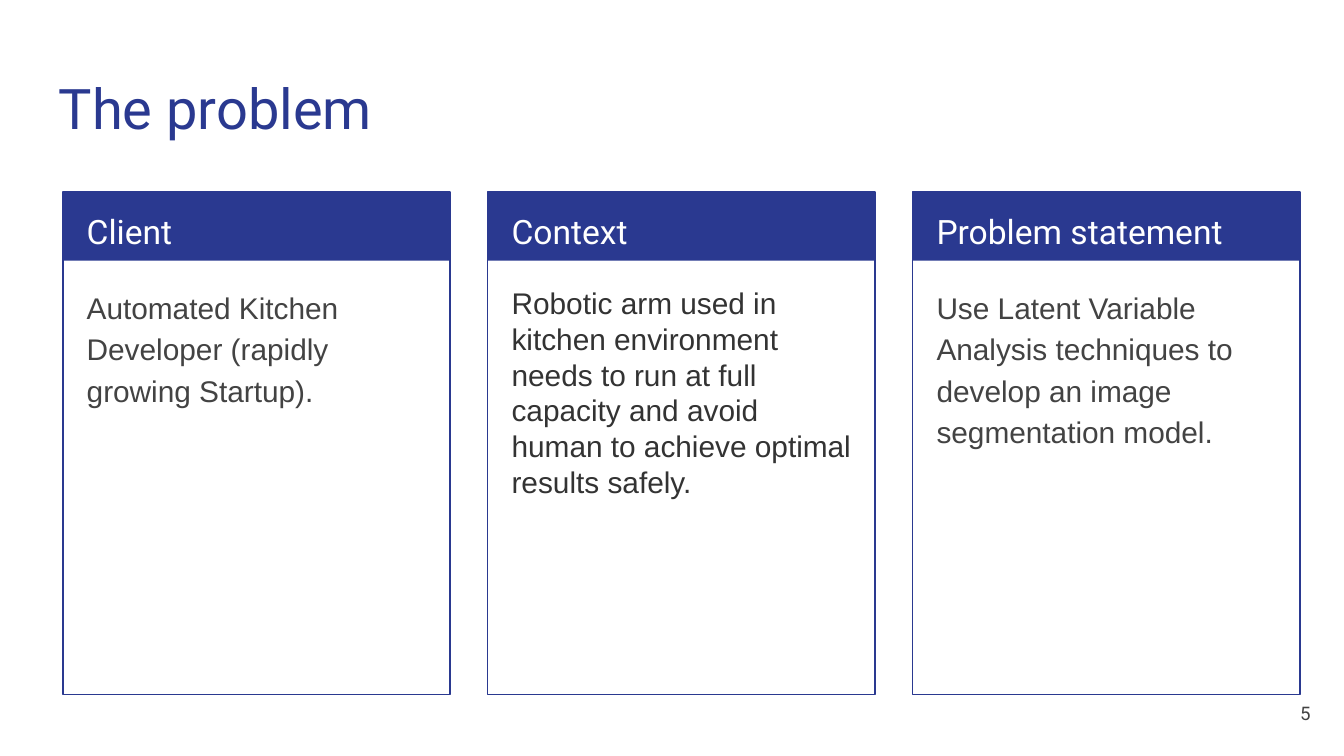
import pptx
import pptx.dml.color
import pptx.enum.shapes
import pptx.enum.text
import pptx.util

Cm = pptx.util.Cm
Pt = pptx.util.Pt
ALIGN = pptx.enum.text.PP_ALIGN
ANCHOR = pptx.enum.text.MSO_ANCHOR

NAVY, WHITE, GREY, DARK = "2A3990", "FFFFFF", "434343", "333333"
LEFT, TOP, PITCH, WIDTH = 1.19, 3.63, 8.03, 7.32
HEADER_HEIGHT, CARD_HEIGHT = 1.3, 9.5
SPACED = {"line_spacing": 1.15}
LOOSE = {"line_spacing": 1.15, "space_after": Pt(16)}
CARDS = [
    ("Client", "Automated Kitchen Developer (rapidly growing Startup).", GREY, LOOSE),
    ("Context", "Robotic arm used in kitchen environment needs to run at full capacity "
     "and avoid human to achieve optimal results safely.", DARK, {}),
    ("Problem statement", "Use Latent Variable Analysis techniques to develop an image "
     "segmentation model.", GREY, LOOSE),
]


def rgb(value):
    """Turn a hex string into a colour."""
    return pptx.dml.color.RGBColor.from_string(value)


def set_attrs(obj, values):
    """Set each named attribute on an object."""
    for name, value in values.items():
        setattr(obj, name, value)


def add_text(s, box, text, size, font, color, para=None, anchor=ANCHOR.TOP):
    """Add a wrapped one-paragraph text box; box is in centimetres."""
    tf = s.shapes.add_textbox(*map(Cm, box)).text_frame
    margins = {f"margin_{side}": Cm(0.25) for side in ("left", "top", "right", "bottom")}
    set_attrs(tf, {"word_wrap": True, "vertical_anchor": anchor, **margins})
    p = tf.paragraphs[0]
    set_attrs(p, para or {})
    r = p.add_run()
    r.text = text
    set_attrs(r.font, {"size": Pt(size), "name": font})
    r.font.color.rgb = rgb(color)


def add_rect(shapes, box, fill=None, line=None):
    """Add a rectangle with an optional fill and outline."""
    sp = shapes.add_shape(pptx.enum.shapes.MSO_SHAPE.RECTANGLE, *map(Cm, box))
    sp.shadow.inherit = False
    if fill:
        sp.fill.solid()
        sp.fill.fore_color.rgb = rgb(fill)
    else:
        sp.fill.background()
    if line:
        sp.line.color.rgb = rgb(line)
        sp.line.width = Pt(0.75)
    else:
        sp.line.fill.background()


def add_card(s, x, heading, body, color, para):
    """Add a framed card with a filled header and body text."""
    frame = s.shapes.add_group_shape().shapes
    add_rect(frame, (x, TOP, WIDTH, HEADER_HEIGHT), fill=NAVY)
    add_rect(frame, (x, TOP, WIDTH, CARD_HEIGHT), line=NAVY)
    add_text(s, (x + 0.2, TOP, 6.95, 1.27), heading, 18, "Roboto", WHITE, SPACED)
    add_text(s, (x + 0.2, TOP + 1.5, 6.95, 7.77), body, 16, "Arial", color, para)


def main():
    """Build the slide and save it."""
    prs = pptx.Presentation()
    set_attrs(prs, {"slide_width": Cm(25.4), "slide_height": Cm(14.29)})
    s = prs.slides.add_slide(prs.slide_layouts[6])
    add_text(s, (0.86, 1.14, 23.67, 1.68), "The problem", 30, "Roboto", NAVY)
    for i, card in enumerate(CARDS):
        add_card(s, LEFT + i * PITCH, *card)
    add_text(s, (23.5, 12.93, 1.52, 1.09), "5", 10, "Roboto", GREY,
             {"alignment": ALIGN.RIGHT}, ANCHOR.MIDDLE)
    prs.save("out.pptx")


if __name__ == "__main__":
    main()
